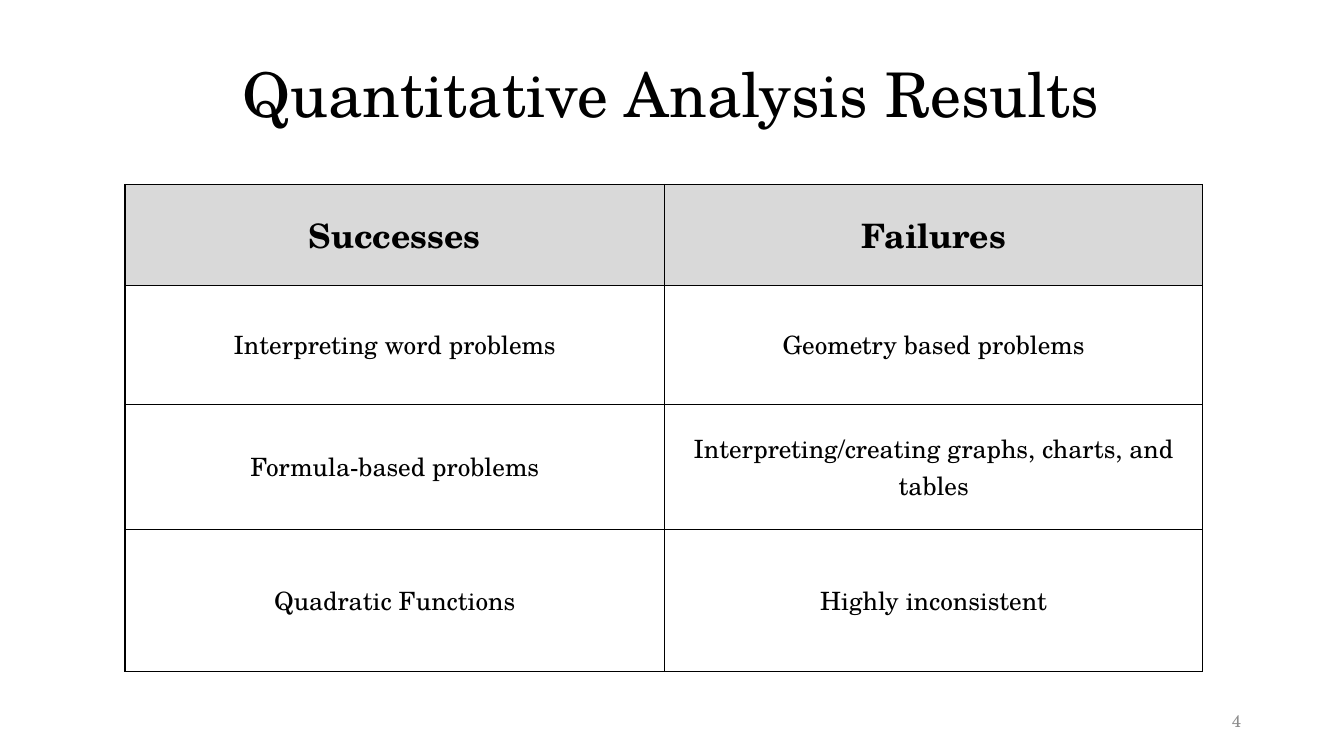
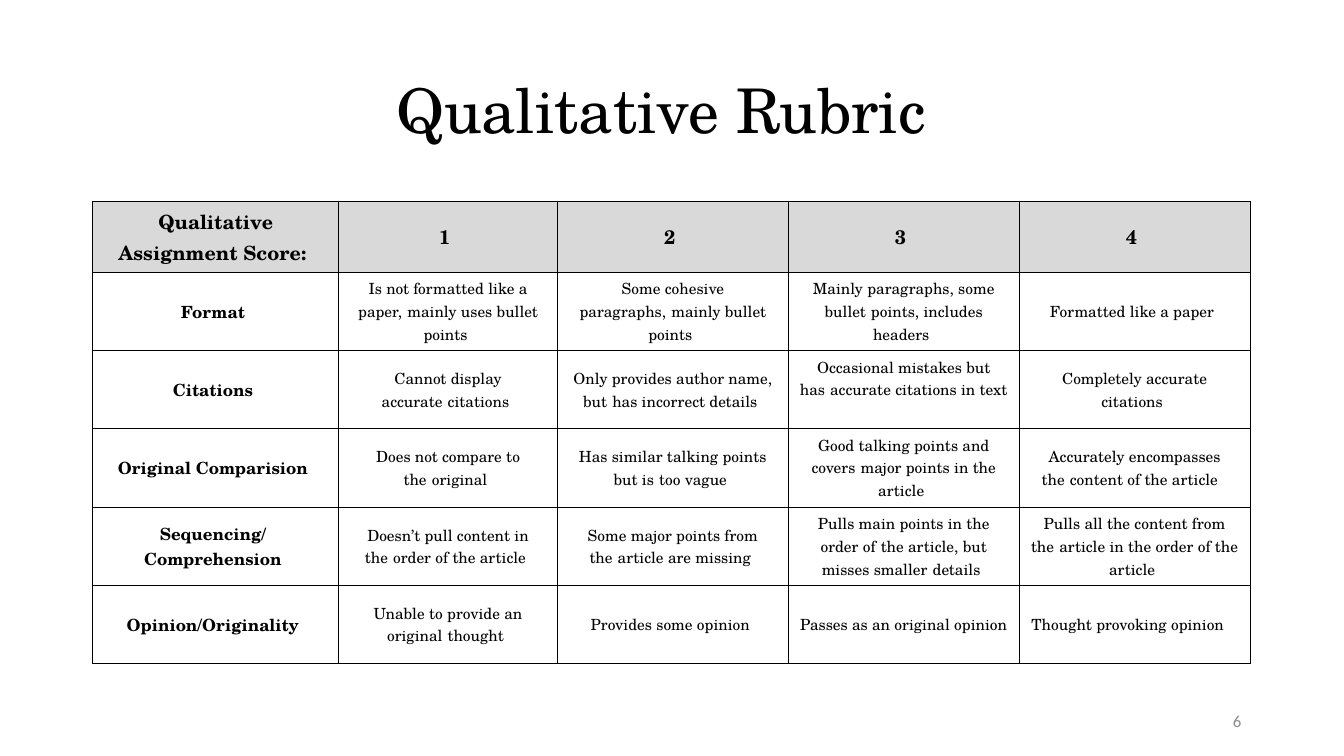
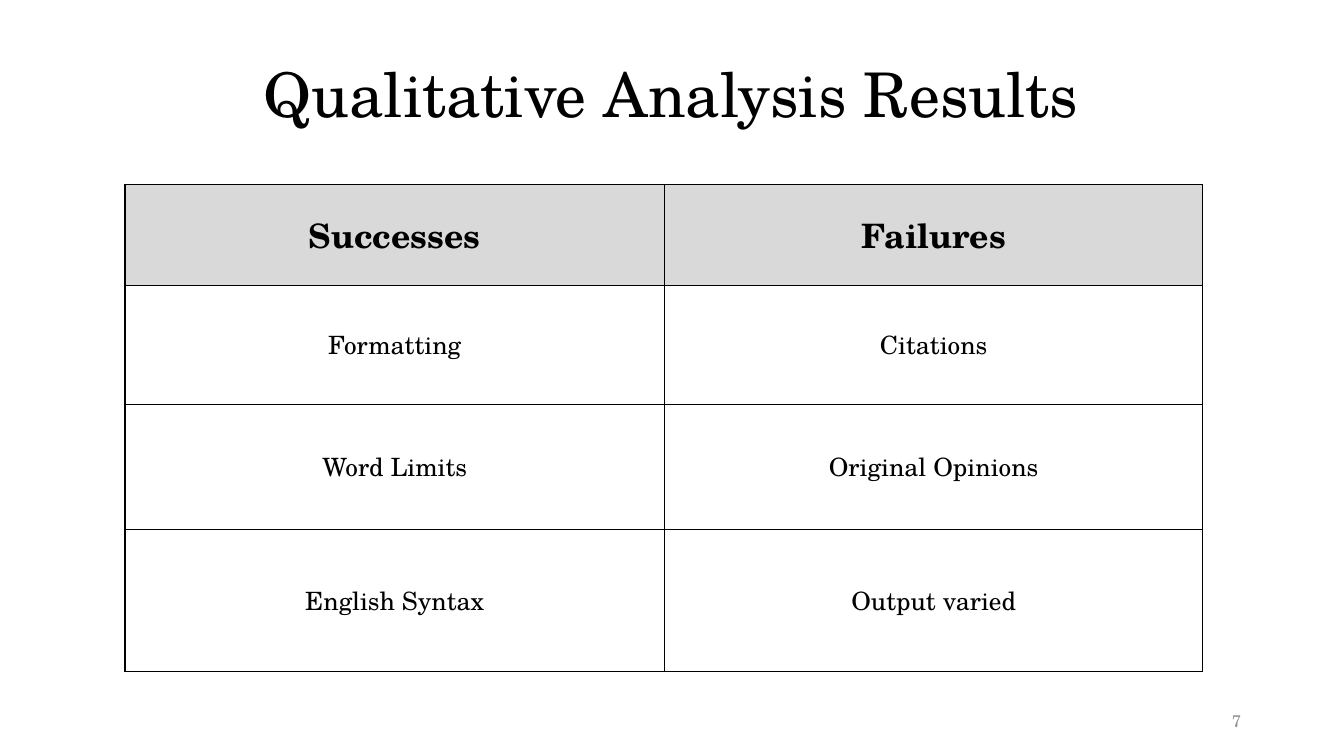
from lxml import etree
from pptx import Presentation
from pptx.dml.color import RGBColor
from pptx.enum.text import MSO_ANCHOR, PP_ALIGN
from pptx.oxml.ns import qn
from pptx.util import Inches, Pt

MIDDLE = MSO_ANCHOR.MIDDLE
CENTER, RIGHT = PP_ALIGN.CENTER, PP_ALIGN.RIGHT

COLORS = {"ink": "000000", "head": "D9D9D9", "body": "FFFFFF", "page": "8C8C8C"}
SERIF, SANS = "TeX Gyre Schola", "Calibri"
TIE = chr(160)  # "~" in the texts below keeps two words on one line

# Table layouts: place, grid, text sizes and border width
PAIR = {"left": 1.24, "top": 1.83, "cols": [5.35, 5.34],
        "rows": [1, 1.18, 1.24, 1.41],
        "head": 24, "body": 18, "label": None, "line": 1}
GRID = {"left": 0.92, "top": 2, "cols": [2.44, 2.17] + [2.29] * 3,
        "rows": [0.7, 0.78, 0.77, 0.78, 0.78, 0.77],
        "head": 14, "body": 11, "label": 12, "line": 0.75}

# Table contents
HEADS = ["Successes", "Failures"]
QUANT = [
    HEADS,
    ["Interpreting word problems", "Geometry based problems"],
    ["Formula-based problems", "Interpreting/creating graphs, charts, and tables"],
    ["Quadratic Functions", "Highly inconsistent"],
]
QUAL = [
    HEADS,
    ["Formatting", "Citations"],
    ["Word Limits", "Original Opinions"],
    ["English Syntax", "Output varied"],
]
RUBRIC = [
    ["Qualitative Assignment Score:~", "1~", "2~", "3~", "4~"],
    ["Format~",
     "Is not formatted like a paper,~mainly uses bullet points~",
     "Some cohesive paragraphs,~mainly bullet points~",
     "Mainly paragraphs, some bullet~points, includes headers~",
     "Formatted like a paper~"],
    ["Citations~",
     "Cannot display accurate~citations~",
     "Only provides author name, but~has incorrect details~",
     "Occasional mistakes but has~accurate citations in text ~",
     "Completely accurate citations~"],
    ["Original Comparision~",
     "Does not compare to the~original~",
     "Has similar talking points but is~too vague~",
     "Good talking points and covers~major points in the article~",
     "Accurately encompasses the~content of the article ~"],
    ["Sequencing/~\nComprehension~",
     "Doesn’t pull content in the~order of the article~",
     "Some major points from the~article are missing~",
     "Pulls main points in the order of~the article, but misses smaller~details~",
     "Pulls all the content from the~article in the order of the article~"],
    ["Opinion/Originality~",
     "Unable to provide an original~thought~",
     "Provides some opinion~",
     "Passes as an original opinion",
     "Thought provoking opinion ~ "],
]


def color(name):
    return RGBColor.from_string(COLORS[name])


def write(frame, text, size, align, font=SERIF, ink="ink", bold=False):
    frame.text = text.replace("~", TIE)
    for para in frame.paragraphs:
        para.alignment = align
        para.font.name = font
        para.font.size = Pt(size)
        para.font.bold = bold
        para.font.color.rgb = color(ink)


def add_text(slide, box, text, size, align, **style):
    frame = slide.shapes.add_textbox(*map(Inches, box)).text_frame
    frame.word_wrap = True
    frame.vertical_anchor = MIDDLE
    write(frame, text, size, align, **style)
    return frame


def add_title(slide, text, top):
    frame = add_text(slide, (0.91, top, 11.5, 1.45), text, 44, CENTER)
    frame.paragraphs[0].line_spacing = 0.9


def add_page(slide, number, font):
    add_text(slide, (9.41, 6.95, 3, 0.4), str(number), 12, RIGHT,
             font=font, ink="page")


def set_edges(cell, width):
    props = cell._tc.get_or_add_tcPr()
    for side in ("a:lnL", "a:lnR", "a:lnT", "a:lnB"):
        line = etree.SubElement(props, qn(side), w=str(Pt(width)))
        fill = etree.SubElement(line, qn("a:solidFill"))
        etree.SubElement(fill, qn("a:srgbClr"), val=COLORS["ink"])


def add_grid(slide, plan, data):
    cols, rows = plan["cols"], plan["rows"]
    box = (plan["left"], plan["top"], sum(cols), sum(rows))
    table = slide.shapes.add_table(len(rows), len(cols), *map(Inches, box)).table
    table.first_row = table.horz_banding = False
    for col, width in zip(table.columns, cols):
        col.width = Inches(width)
    for row, height in zip(table.rows, rows):
        row.height = Inches(height)

    for r, texts in enumerate(data):
        for c, text in enumerate(texts):
            cell = table.cell(r, c)
            kind = "head" if r == 0 else "body"
            label = r > 0 and c == 0 and plan["label"]
            set_edges(cell, plan["line"])
            cell.fill.solid()
            cell.fill.fore_color.rgb = color(kind)
            cell.vertical_anchor = MIDDLE
            write(cell.text_frame, text, label or plan[kind], CENTER,
                  bold=r == 0 or bool(label))


def main():
    deck = Presentation()
    deck.slide_width, deck.slide_height = Inches(13.33), Inches(7.5)
    blank = deck.slide_layouts[6]

    # Title, title top, table layout, contents, page number and its font
    slides = [
        ("Quantitative Analysis Results", 0.24, PAIR, QUANT, 4, SERIF),
        ("Qualitative Rubric~", 0.4, GRID, RUBRIC, 6, SANS),
        ("Qualitative Analysis Results", 0.24, PAIR, QUAL, 7, SERIF),
    ]
    for title, top, plan, data, number, font in slides:
        slide = deck.slides.add_slide(blank)
        add_title(slide, title, top)
        add_grid(slide, plan, data)
        add_page(slide, number, font)

    deck.save("out.pptx")


if __name__ == "__main__":
    main()
